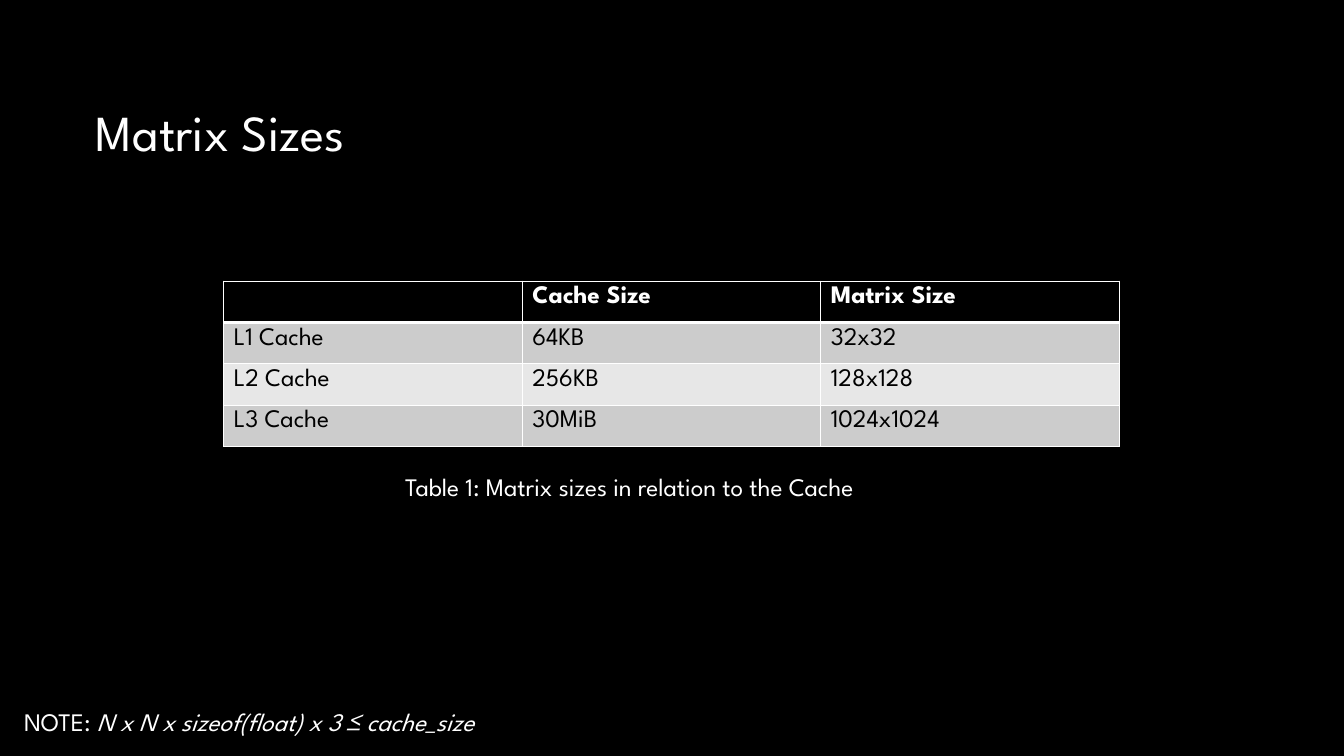
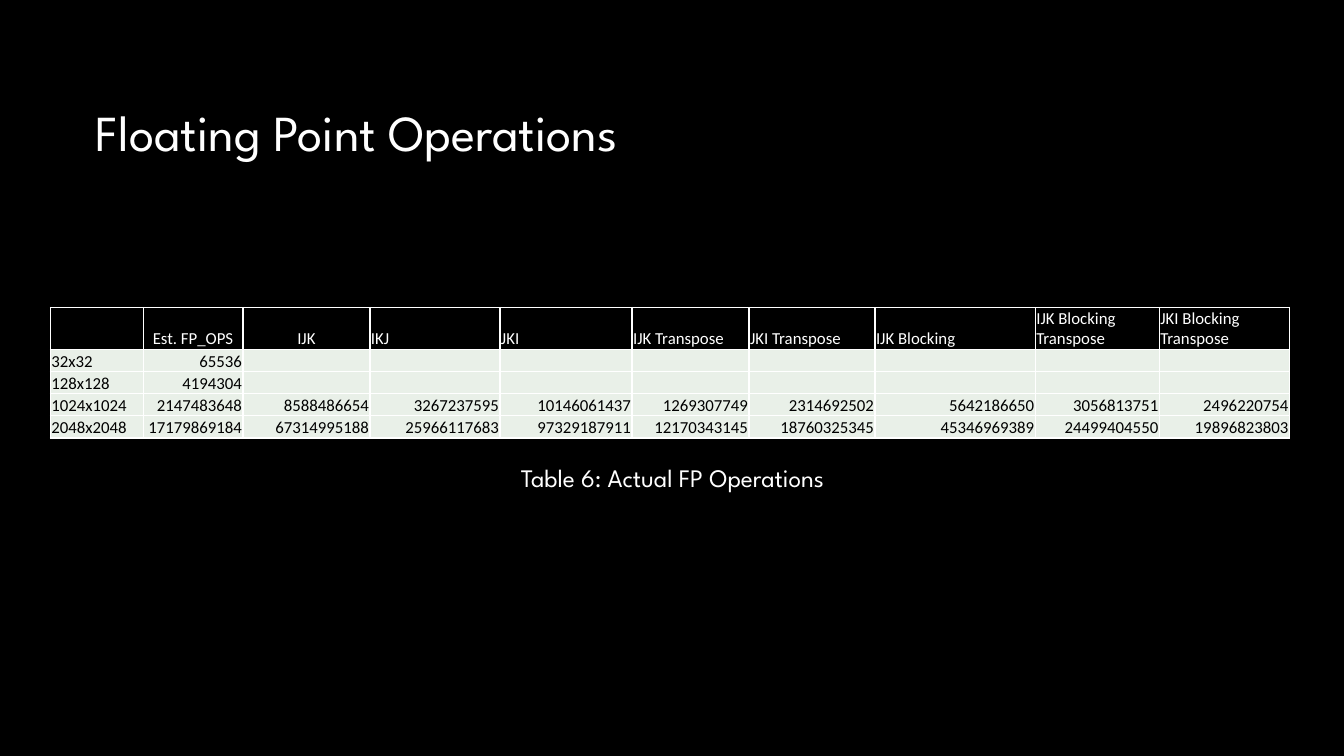
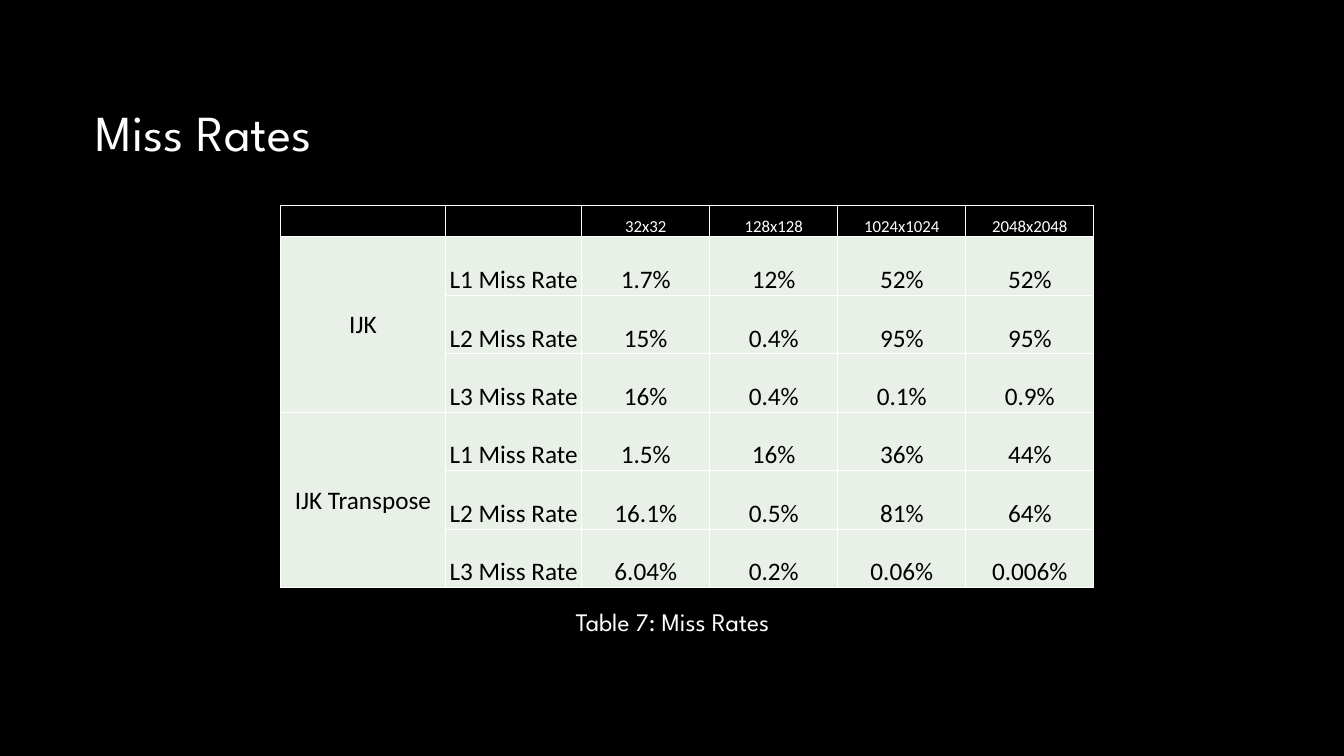
import pptx
import pptx.util
import pptx.dml.color
import pptx.enum.text
import pptx.oxml.ns
from lxml import etree

Inches = pptx.util.Inches
Pt = pptx.util.Pt
RGB = pptx.dml.color.RGBColor
Align = pptx.enum.text.PP_ALIGN
Anchor = pptx.enum.text.MSO_ANCHOR
Fit = pptx.enum.text.MSO_AUTO_SIZE
qn = pptx.oxml.ns.qn

BLACK = RGB(0x00, 0x00, 0x00)
WHITE = RGB(0xFF, 0xFF, 0xFF)
GREY = RGB(0xCC, 0xCC, 0xCC)
PALE = RGB(0xE7, 0xE7, 0xE7)
MINT = RGB(0xE9, 0xF0, 0xE8)
SPARTAN = "League Spartan"
CALIBRI = "Calibri"

SIZES = [
    ["", "Cache Size", "Matrix Size"],
    ["L1 Cache", "64KB", "32x32"],
    ["L2 Cache", "256KB", "128x128"],
    ["L3 Cache", "30MiB", "1024x1024"],
]
COUNTS = [
    ["", "Est. FP_OPS", "IJK", "IKJ", "JKI", "IJK Transpose", "JKI Transpose",
     "IJK Blocking", "IJK Blocking Transpose", "JKI Blocking Transpose"],
    ["32x32", "65536"] + [""] * 8,
    ["128x128", "4194304"] + [""] * 8,
    ["1024x1024", "2147483648", "8588486654", "3267237595", "10146061437",
     "1269307749", "2314692502", "5642186650", "3056813751", "2496220754"],
    ["2048x2048", "17179869184", "67314995188", "25966117683", "97329187911",
     "12170343145", "18760325345", "45346969389", "24499404550", "19896823803"],
]
RATES = [
    ["", "", "32x32", "128x128", "1024x1024", "2048x2048"],
    ["IJK", "L1 Miss Rate", "1.7%", "12%", "52%", "52%"],
    ["", "L2 Miss Rate", "15%", "0.4%", "95%", "95%"],
    ["", "L3 Miss Rate", "16%", "0.4%", "0.1%", "0.9%"],
    ["IJK Transpose", "L1 Miss Rate", "1.5%", "16%", "36%", "44%"],
    ["", "L2 Miss Rate", "16.1%", "0.5%", "81%", "64%"],
    ["", "L3 Miss Rate", "6.04%", "0.2%", "0.06%", "0.006%"],
]


def style(para, size, color=WHITE, face=SPARTAN, align=Align.LEFT, bold=False):
    para.alignment = align
    for run in para.runs:
        font = run.font
        font.size, font.name, font.bold = Pt(size), face, bold
        font.color.rgb = color


def place(shape, left, top, width, height):
    shape.left, shape.top = Inches(left), Inches(top)
    shape.width, shape.height = Inches(width), Inches(height)


def theme(deck):
    """Set the black ground and the title place, and return the layout."""
    fill = deck.slide_master.background.fill
    fill.solid()
    fill.fore_color.rgb = BLACK
    layout = deck.slide_layouts[5]
    title = layout.placeholders[0]
    place(title, 0.85, 0.95, 9.41, 0.71)
    title.text_frame.vertical_anchor = Anchor.TOP
    return layout


def start(deck, layout, text):
    """Add a slide with its title."""
    slide = deck.slides.add_slide(layout)
    frame = slide.shapes.title.text_frame
    frame.text = text
    frame.auto_size = Fit.NONE
    style(frame.paragraphs[0], 36)
    return slide


def label(slide, text, left, top, width, align=Align.LEFT):
    box = slide.shapes.add_textbox(
        Inches(left), Inches(top), Inches(width), Inches(0.4))
    frame = box.text_frame
    frame.word_wrap = True
    frame.auto_size = Fit.SHAPE_TO_FIT_TEXT
    frame.text = text
    para = frame.paragraphs[0]
    style(para, 18, align=align)
    return para


def border(cell, **widths):
    """Draw white cell edges; widths in points, keyed L, R, T, B."""
    props = cell._tc.get_or_add_tcPr()
    for side in "LRTB":
        line = etree.SubElement(props, qn("a:ln" + side),
                                w=str(Pt(widths.get(side, 1))))
        fill = etree.SubElement(line, qn("a:solidFill"))
        etree.SubElement(fill, qn("a:srgbClr"), val=str(WHITE))


def grid(slide, data, left, top, cols, rows, look):
    """Add a table; look(cell, row, col) formats each cell."""
    frame = slide.shapes.add_table(
        len(rows), len(cols), Inches(left), Inches(top),
        Inches(sum(cols)), Inches(sum(rows)))
    table = frame.table
    table.horz_banding = False
    for col, width in zip(table.columns, cols):
        col.width = Inches(width)
    for row, height in zip(table.rows, rows):
        row.height = Inches(height)
    for r, line in enumerate(data):
        for c, text in enumerate(line):
            cell = table.cell(r, c)
            cell.text_frame.text = text
            look(cell, r, c)
    return table


def paint(cell, color):
    cell.fill.solid()
    cell.fill.fore_color.rgb = color


def tight(cell, row, size, align, anchor=Anchor.BOTTOM):
    """Format a Calibri cell with almost no margins."""
    head = row == 0
    border(cell)
    paint(cell, BLACK if head else MINT)
    cell.margin_left = cell.margin_right = cell.margin_top = Inches(0.01)
    cell.margin_bottom = 0
    cell.vertical_anchor = anchor
    para = cell.text_frame.paragraphs[0]
    style(para, size, WHITE if head else BLACK, CALIBRI, align)
    if not para.runs:
        etree.SubElement(para._p, qn("a:endParaRPr"), sz=str(size * 100))


def size_look(cell, row, col):
    head = row == 0
    border(cell, B=3 if head else 1, T=3 if row == 1 else 1)
    paint(cell, BLACK if head else GREY if row % 2 else PALE)
    style(cell.text_frame.paragraphs[0], 18, WHITE if head else BLACK, bold=head)


def count_look(cell, row, col):
    if row == 0:
        align = Align.CENTER if col in (1, 2) else Align.LEFT
    else:
        align = Align.RIGHT if col else Align.LEFT
    tight(cell, row, 12, align)


def rate_look(cell, row, col):
    tight(cell, row, 18 if row else 12, Align.CENTER,
          Anchor.BOTTOM if col else Anchor.MIDDLE)


def sizes(slide):
    grid(slide, SIZES, 2.22, 2.79, [2.96] * 3, [0.41] * 4, size_look)
    label(slide, "Table 1: Matrix sizes in relation to the Cache", 3.92, 4.63, 5.49)
    note = label(slide, "NOTE: ", 0.14, 6.96, 5.49)
    note.add_run().text = "N x N x sizeof(float) x 3 ≤ cache_size"
    style(note, 18)
    note.runs[1].font.italic = True


def counts(slide):
    cols = [0.92, 0.99, 1.26, 1.29, 1.31, 1.16, 1.25, 1.59, 1.23, 1.29]
    grid(slide, COUNTS, 0.5, 3.05, cols, [0.41] + [0.22] * 4, count_look)
    label(slide, "Table 6: Actual FP Operations", 4.76, 4.54, 3.82, Align.CENTER)


def rates(slide):
    table = grid(slide, RATES, 2.78, 2.04, [1.64, 1.35] + [1.27] * 4,
                 [0.31] + [0.58] * 6, rate_look)
    for row in (1, 4):
        table.cell(row, 0).merge(table.cell(row + 2, 0))
    label(slide, "Table 7: Miss Rates", 4.76, 5.97, 3.82, Align.CENTER)


def main():
    deck = pptx.Presentation()
    deck.slide_width, deck.slide_height = Inches(13.33), Inches(7.5)
    layout = theme(deck)
    for title, build in (("Matrix Sizes", sizes),
                         ("Floating Point Operations", counts),
                         ("Miss Rates", rates)):
        build(start(deck, layout, title))
    deck.save("out.pptx")


if __name__ == "__main__":
    main()
